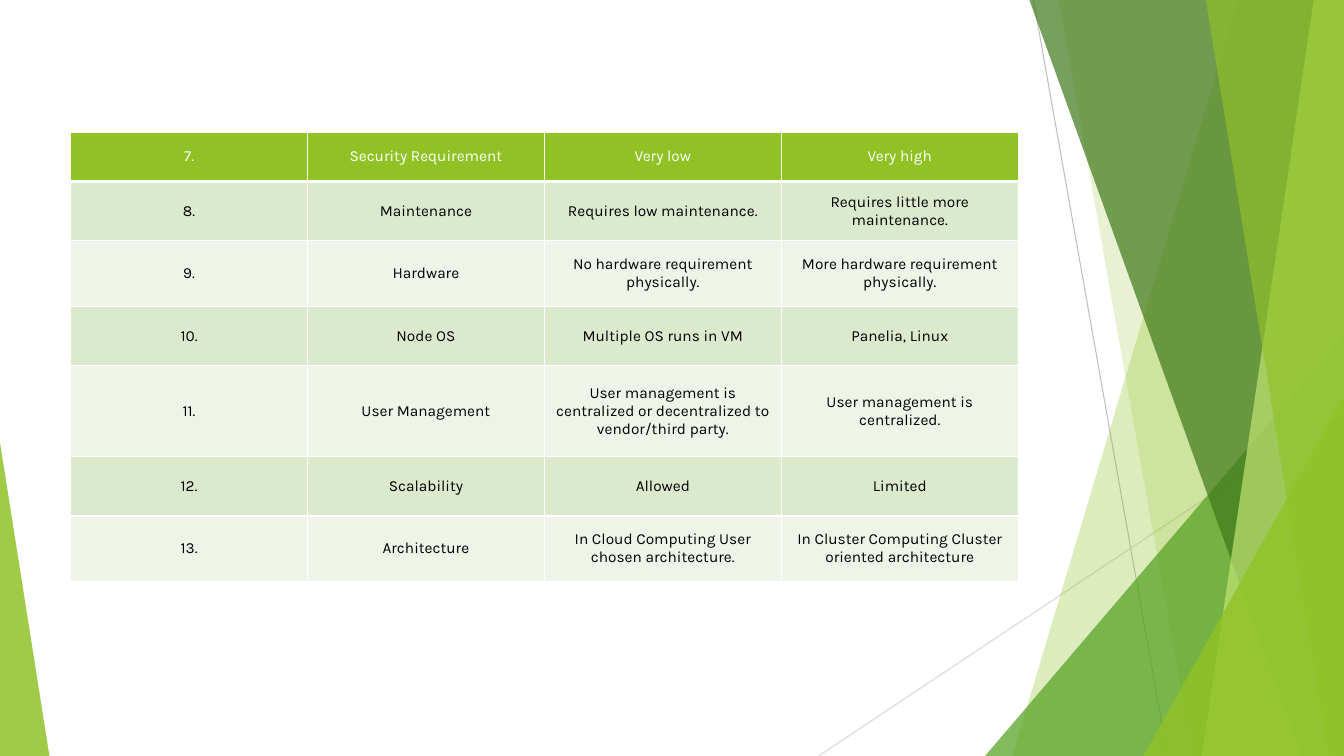
import pptx
import pptx.util
import pptx.dml.color
import pptx.enum.shapes
import pptx.enum.text
import pptx.oxml
import pptx.oxml.ns
import lxml.etree

Inches = pptx.util.Inches
Pt = pptx.util.Pt
Shape = pptx.enum.shapes.MSO_SHAPE
qn = pptx.oxml.ns.qn

HUES = {
    "lime": "90C226", "leaf": "54A021", "moss": "3F7819", "pale": "C0E474",
    "gray": "BFBFBF", "mist": "D9D9D9", "white": "FFFFFF", "black": "000000",
    "odd": "DBE9CD", "even": "EEF4E8",
}

ROWS = [
    ("7.", "Security Requirement", "Very low", "Very high"),
    ("8.", "Maintenance", "Requires low maintenance.", "Requires little more maintenance."),
    ("9.", "Hardware", "No hardware requirement physically.",
     "More hardware requirement physically."),
    ("10.", "Node OS", "Multiple OS runs in VM", "Panelia, Linux"),
    ("11.", "User Management",
     "User management is centralized or decentralized to vendor/third party.",
     "User management is centralized."),
    ("12.", "Scalability", "Allowed", "Limited"),
    ("13.", "Architecture", "In Cloud Computing User chosen architecture.",
     "In Cluster Computing Cluster oriented architecture"),
]
HEIGHTS = [0.49, 0.59, 0.65, 0.59, 0.9, 0.59, 0.65]


def rgb(hue):
    return pptx.dml.color.RGBColor.from_string(HUES[hue])


def paint(shape, hue, alpha):
    shape.shadow.inherit = False
    shape.line.fill.background()
    shape.fill.solid()
    shape.fill.fore_color.rgb = rgb(hue)
    color = shape.fill._xPr.find(".//" + qn("a:srgbClr"))
    lxml.etree.SubElement(color, qn("a:alpha")).set("val", str(alpha * 1000))


def add_ray(slide, start, end, hue):
    ray = slide.shapes.add_connector(
        pptx.enum.shapes.MSO_CONNECTOR.STRAIGHT,
        *[Inches(v) for v in (*start, *end)])
    ray.line.color.rgb = rgb(hue)
    ray.line.width = Pt(0.75)
    lxml.etree.SubElement(ray._element.spPr, qn("a:effectLst"))


def add_wedge(slide, box, top, base, hue, alpha):
    left, y, width, height = box
    right, low = left + width, y + height
    points = [(left + top, y), (right, y), (right, low), (left + base, low)]
    points = [(Inches(a), Inches(b)) for a, b in points]
    pen = slide.shapes.build_freeform(*points[0])
    pen.add_line_segments(points[1:], close=True)
    paint(pen.convert_to_shape(), hue, alpha)


def add_peak(slide, box, tip, hue, alpha):
    peak = slide.shapes.add_shape(Shape.ISOSCELES_TRIANGLE, *[Inches(v) for v in box])
    peak.adjustments[0] = tip
    paint(peak, hue, alpha)


def add_facets(slide, box):
    left, top, width, height = box
    right, low = left + width, top + height

    def corner(wide, tall, hue, alpha):
        add_peak(slide, (right - wide, low - tall, wide, tall), 1, hue, alpha)

    add_ray(slide, (left + 2.25, top), (left + 3.58, low), "gray")
    add_ray(slide, (right, top + 4.03), (left + 0.12, low), "mist")
    add_wedge(slide, box, 4.28, 2.04, "lime", 30)
    add_wedge(slide, box, 2.5, 3.83, "lime", 20)
    corner(3.56, 4.17, "leaf", 72)
    add_wedge(slide, box, 2.21, 4.91, "moss", 70)
    add_wedge(slide, box, 5.03, 3.92, "pale", 70)
    add_wedge(slide, box, 3.96, 5.18, "lime", 65)
    corner(1.99, 3.57, "lime", 80)


def edge_cell(cell, top, bottom):
    props = cell._tc.get_or_add_tcPr()
    sides = [("L", 1), ("R", 1), ("T", top), ("B", bottom)]
    for i, (side, width) in enumerate(sides):
        line = lxml.etree.Element(qn("a:ln" + side), w=str(Pt(width)))
        fill = lxml.etree.SubElement(line, qn("a:solidFill"))
        lxml.etree.SubElement(fill, qn("a:srgbClr")).set("val", HUES["white"])
        props.insert(i, line)


def fill_cell(cell, text, row):
    cell.text = text
    cell.vertical_anchor = pptx.enum.text.MSO_ANCHOR.MIDDLE
    cell.margin_left = cell.margin_right = Inches(0.06)
    cell.margin_top = cell.margin_bottom = Inches(0.04)
    cell.fill.solid()
    cell.fill.fore_color.rgb = rgb("lime" if row == 0 else "odd" if row % 2 else "even")
    edge_cell(cell, 3 if row == 1 else 1, 3 if row == 0 else 1)
    para = cell.text_frame.paragraphs[0]
    para.alignment = pptx.enum.text.PP_ALIGN.CENTER
    para.font.name = "Karla"
    para.font.size = Pt(11)
    para.font.bold = False
    para.font.color.rgb = rgb("white" if row == 0 else "black")


def add_grid(slide, box):
    frame = slide.shapes.add_table(len(ROWS), len(ROWS[0]), *[Inches(v) for v in box])
    table = frame.table
    for col in table.columns:
        col.width = Inches(box[2] / len(ROWS[0]))
    for r, (texts, height) in enumerate(zip(ROWS, HEIGHTS)):
        table.rows[r].height = Inches(height)
        for c, text in enumerate(texts):
            fill_cell(table.cell(r, c), text, r)


def main():
    deck = pptx.Presentation()
    deck.slide_width = Inches(13.33)
    deck.slide_height = Inches(7.5)
    slide = deck.slides.add_slide(deck.slide_layouts[6])
    add_facets(slide, (8, 0, 5.33, 7.5))
    add_peak(slide, (0, 4.39, 0.49, 3.11), 0, "lime", 85)
    add_grid(slide, (0.7, 1.31, 9.4, sum(HEIGHTS)))
    deck.save("out.pptx")


if __name__ == "__main__":
    main()
